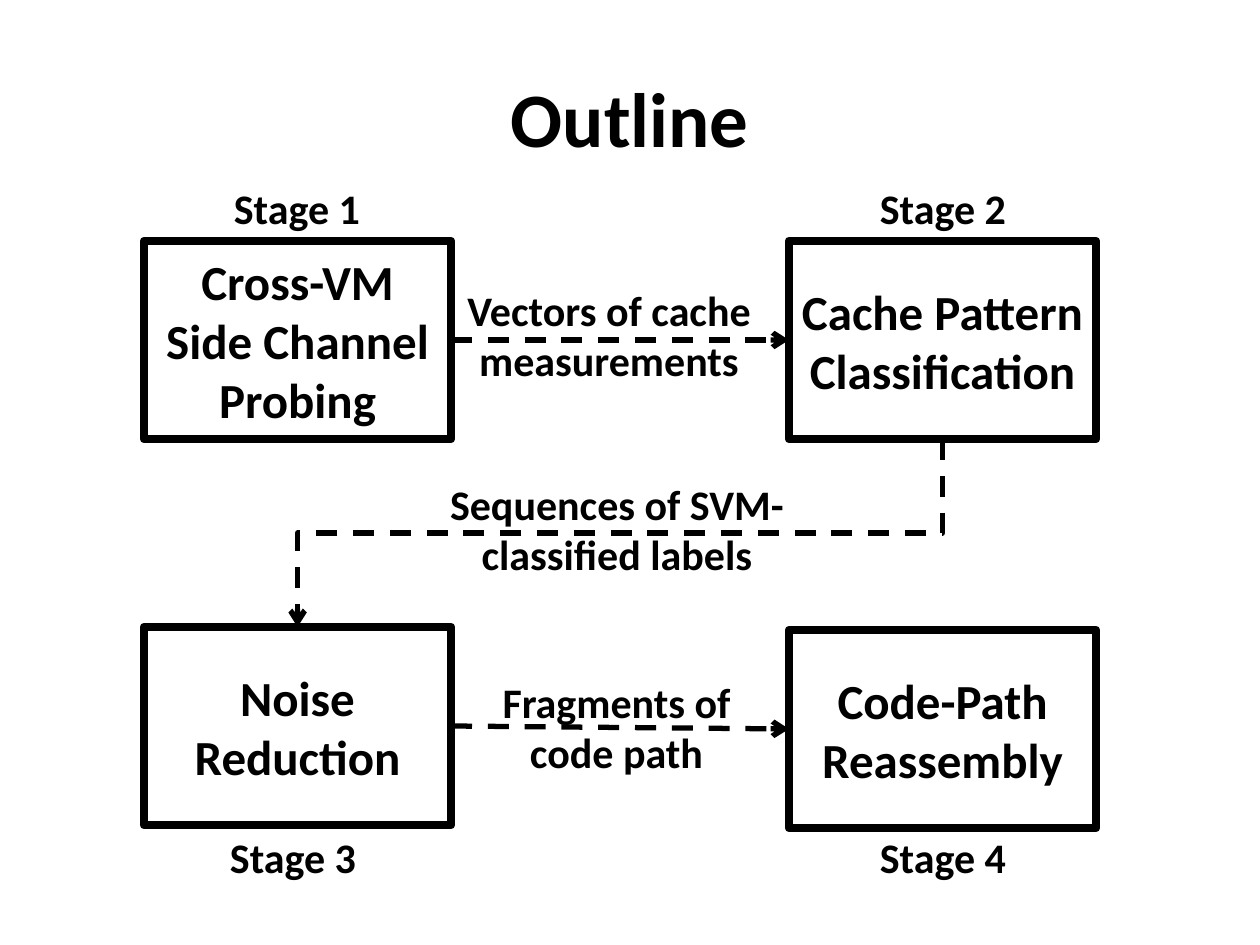
from lxml import etree
from pptx import Presentation
from pptx.dml.color import RGBColor
from pptx.enum.dml import MSO_LINE
from pptx.enum.shapes import MSO_CONNECTOR, MSO_SHAPE
from pptx.enum.text import MSO_ANCHOR, PP_ALIGN
from pptx.oxml.ns import qn
from pptx.util import Pt

PX = 914400 / 126
BLACK = RGBColor(0, 0, 0)
FONT = "Calibri"
RECTANGLE = MSO_SHAPE.RECTANGLE
STRAIGHT, ELBOW = MSO_CONNECTOR.STRAIGHT, MSO_CONNECTOR.ELBOW
DASH = MSO_LINE.DASH
CENTER = PP_ALIGN.CENTER
TOP, MIDDLE = MSO_ANCHOR.TOP, MSO_ANCHOR.MIDDLE
TOP_SIDE, LEFT_SIDE, BOTTOM_SIDE, RIGHT_SIDE = range(4)

BOX_WIDTH, BOX_HEIGHT = 307, 198
LEFT_COLUMN, RIGHT_COLUMN = 144, 789
STAGES = [
    ("Stage 1", "Cross-VM Side Channel Probing", LEFT_COLUMN, 241, 60, -65),
    ("Stage 2", "Cache Pattern Classification", RIGHT_COLUMN, 241, 61, -65),
    ("Stage 3", "Noise Reduction", LEFT_COLUMN, 627, 56, 198),
    ("Stage 4", "Code-Path Reassembly", RIGHT_COLUMN, 630, 61, 195),
]
FLOWS = [
    ("Vectors of cache measurements", 422, 278, 374),
    ("Sequences of SVM-classified labels", 430, 472, 374),
    ("Fragments of code path", 451, 670, 331),
]


def emu(*lengths):
    """Turn px lengths into EMU."""
    return [round(length * PX) for length in lengths]


def write(shape, text, size, anchor):
    """Write one centred bold paragraph into a shape."""
    frame = shape.text_frame
    frame.word_wrap = True
    frame.vertical_anchor = anchor
    para = frame.paragraphs[0]
    para.alignment = CENTER
    span = para.add_run()
    span.text = text
    span.font.name = FONT
    span.font.size = Pt(size)
    span.font.bold = True
    span.font.color.rgb = BLACK


def add_title(page, text, left, top, width, height):
    """Place and fill the title placeholder."""
    title = page.shapes.title
    title.left, title.top, title.width, title.height = emu(left, top, width, height)
    write(title, text, 44, MIDDLE)


def add_label(page, text, left, top, width, height):
    """Add a text label."""
    label = page.shapes.add_textbox(*emu(left, top, width, height))
    write(label, text, 24, TOP)


def add_stage(page, name, text, left, top, label_dx, label_dy):
    """Add a stage box with its name offset from the box corner."""
    box = page.shapes.add_shape(RECTANGLE, *emu(left, top, BOX_WIDTH, BOX_HEIGHT))
    box.shadow.inherit = False
    box.fill.background()
    box.line.color.rgb = BLACK
    box.line.width = Pt(5)
    write(box, text, 28, MIDDLE)
    add_label(page, name, left + label_dx, top + label_dy, 186, 63)
    return box


def add_arrow(page, kind, source, source_side, target, target_side):
    """Join two boxes with a dashed arrow."""
    arrow = page.shapes.add_connector(kind, 0, 0, 0, 0)
    arrow.begin_connect(source, source_side)
    arrow.end_connect(target, target_side)
    arrow.line.color.rgb = BLACK
    arrow.line.width = Pt(3)
    arrow.line.dash_style = DASH
    properties = arrow.line._get_or_add_ln()
    etree.SubElement(properties, qn("a:tailEnd"), type="arrow")
    etree.SubElement(properties.getparent(), qn("a:effectLst"))
    return arrow


def turn_down(arrow):
    """Turn an elbow that runs down and left so it leaves vertically."""
    width, height = arrow.width, arrow.height
    center_x, center_y = arrow.left + width // 2, arrow.top + height // 2
    arrow.left, arrow.top = center_x - height // 2, center_y - width // 2
    arrow.width, arrow.height = height, width
    transform = arrow._element.spPr.find(qn("a:xfrm"))
    transform.set("flipH", "0")
    transform.set("rot", "5400000")


def add_diagram(page):
    """Add the four stages and the flows between them."""
    first, second, third, fourth = [add_stage(page, *stage) for stage in STAGES]
    add_arrow(page, STRAIGHT, first, RIGHT_SIDE, second, LEFT_SIDE)
    turn_down(add_arrow(page, ELBOW, second, BOTTOM_SIDE, third, TOP_SIDE))
    add_arrow(page, STRAIGHT, third, RIGHT_SIDE, fourth, LEFT_SIDE)
    for text, left, top, width in FLOWS:
        add_label(page, text, left, top, width, 115)


def main():
    """Build and save the deck."""
    deck = Presentation()
    deck.slide_width, deck.slide_height = emu(1260, 945)
    page = deck.slides.add_slide(deck.slide_layouts[5])
    add_title(page, "Outline", 63, 38, 1134, 158)
    add_diagram(page)
    deck.save("out.pptx")


if __name__ == "__main__":
    main()
